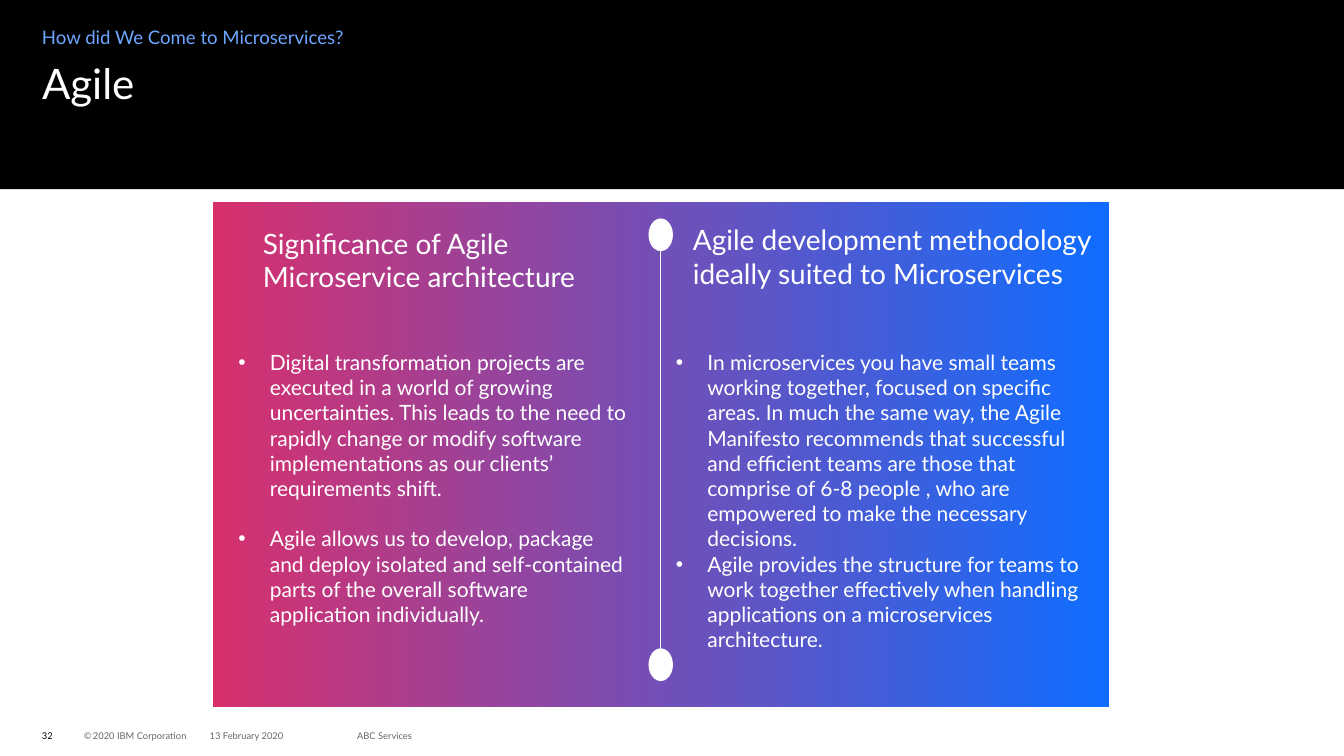
import copy

import lxml.etree
import pptx
import pptx.dml.color
import pptx.enum.shapes
import pptx.enum.text
import pptx.oxml.ns
import pptx.util

Cm = pptx.util.Cm
Pt = pptx.util.Pt
RGB = pptx.dml.color.RGBColor
qn = pptx.oxml.ns.qn
Anchor = pptx.enum.text.MSO_ANCHOR
Preset = pptx.enum.shapes.MSO_SHAPE

BLACK = RGB(0x00, 0x00, 0x00)
WHITE = RGB(0xFF, 0xFF, 0xFF)
GREY = RGB(0x66, 0x66, 0x66)
SKY = RGB(0x6E, 0xA6, 0xFF)
BLUE = RGB(0x0F, 0x6D, 0xFF)
PURPLE = RGB(0x6F, 0x50, 0xB9)
PINK = RGB(0xD7, 0x30, 0x6D)

FONT = "Lato"
BULLET_INDENT = Cm(0.95)
INSETS = (0.25, 0.13)

LEFT_COLUMN = {
    "heading": "Significance of Agile Microservice architecture",
    "heading_box": (1.27, 0.61, 12.09, 2.31),
    "points": [
        "Digital transformation projects are executed in a world of growing uncertainties. "
        "This leads to the need to rapidly change or modify software implementations "
        "as our clients’ requirements shift.",
        "Agile allows us to develop, package and deploy isolated and self-contained parts "
        "of the overall software application individually.",
    ],
    "points_box": (0.53, 4.34, 12.24, 8.71),
    "gap": 21.6,
}
RIGHT_COLUMN = {
    "heading": "Agile development methodology ideally suited to Microservices",
    "heading_box": (14.27, 0.5, 12.65, 3.33),
    "points": [
        "In microservices you have small teams working together, focused on specific areas. "
        "In much the same way, the Agile Manifesto recommends that successful and efficient "
        "teams are those that comprise of 6-8 people , who are empowered to make the "
        "necessary decisions.",
        "Agile provides the structure for teams to work together effectively when handling "
        "applications on a microservices architecture.",
    ],
    "points_box": (13.76, 4.34, 13.03, 9.5),
    "gap": 0,
}


def place(holder, left, top, width, height):
    """Move a text holder to a box given in centimetres."""
    holder.left, holder.top = Cm(left), Cm(top)
    holder.width, holder.height = Cm(width), Cm(height)


def set_frame(holder, anchor=Anchor.TOP, insets=(0, 0)):
    """Give a text holder its wrapping, anchor and insets."""
    frame = holder.text_frame
    frame.word_wrap = True
    frame.auto_size = pptx.enum.text.MSO_AUTO_SIZE.NONE
    frame.vertical_anchor = anchor
    frame.margin_left = frame.margin_right = Cm(insets[0])
    frame.margin_top = frame.margin_bottom = Cm(insets[1])
    return frame


def write(paragraph, text, size, color, spacing=1.0, before=0):
    """Add one run to a left-aligned paragraph."""
    paragraph.alignment = pptx.enum.text.PP_ALIGN.LEFT
    paragraph.line_spacing = spacing
    paragraph.space_before = Pt(before)
    run = paragraph.add_run()
    run.text = text
    run.font.name = FONT
    run.font.size = Pt(size)
    run.font.bold = False
    run.font.color.rgb = color


def add_bullet(paragraph):
    """Give a paragraph a round bullet with a hanging indent."""
    properties = paragraph._p.get_or_add_pPr()
    properties.set("marL", str(BULLET_INDENT))
    properties.set("indent", str(-BULLET_INDENT))
    lxml.etree.SubElement(properties, qn("a:buFont")).set("typeface", "Arial")
    lxml.etree.SubElement(properties, qn("a:buChar")).set("char", "•")


def add_plain_shape(slide, preset, left, top, width, height):
    """Add a preset shape without outline or shadow."""
    shape = slide.shapes.add_shape(preset, Cm(left), Cm(top), Cm(width), Cm(height))
    shape.shadow.inherit = False
    shape.line.fill.background()
    return shape


def add_header(slide, left, top, width, height):
    """Draw the black band with its kicker and title."""
    band = add_plain_shape(slide, Preset.RECTANGLE, left, top, width, height)
    band.fill.solid()
    band.fill.fore_color.rgb = BLACK
    kicker = slide.shapes.add_textbox(Cm(left + 1.27), Cm(top + 0.74), Cm(18.29), Cm(0.76))
    write(set_frame(kicker).paragraphs[0], "How did We Come to Microservices?", 16, SKY, 1.05)
    title = slide.shapes.title
    place(title, left + 1.27, top + 1.9, width - 2.54, 3.18)
    write(set_frame(title).paragraphs[0], "Agile", 36, WHITE, 0.9)


def add_panel(slide, left, top, width, height):
    """Draw the gradient panel with its central divider."""
    panel = add_plain_shape(slide, Preset.RECTANGLE, left, top, width, height)
    panel.fill.gradient()
    panel.fill.gradient_angle = 0
    stop_list = panel._element.find(".//" + qn("a:gsLst"))
    stop_list.append(copy.deepcopy(stop_list[-1]))
    stops = zip(panel.fill.gradient_stops, (0, 0.52, 1), (PINK, PURPLE, BLUE))
    for stop, position, color in stops:
        stop.position = position
        stop.color.rgb = color

    middle = left + width / 2
    dot_width, dot_height = 0.74, 0.99
    dot_centers = (top + 1.0, top + 14.0)
    for center in dot_centers:
        dot = add_plain_shape(slide, Preset.OVAL, middle - dot_width / 2,
                              center - dot_height / 2, dot_width, dot_height)
        dot.fill.solid()
        dot.fill.fore_color.rgb = WHITE
    divider = slide.shapes.add_connector(
        pptx.enum.shapes.MSO_CONNECTOR.STRAIGHT,
        Cm(middle), Cm(dot_centers[0]), Cm(middle), Cm(dot_centers[1]))
    divider.line.color.rgb = WHITE
    divider.line.width = Pt(1)
    lxml.etree.SubElement(divider._element.spPr, qn("a:effectLst"))


def fill_column(heading, points, column, left, top):
    """Write a heading and its bullet list relative to the panel corner."""
    for holder, key in ((heading, "heading_box"), (points, "points_box")):
        x, y, width, height = column[key]
        place(holder, left + x, top + y, width, height)
    heading_frame = set_frame(heading, insets=INSETS)
    write(heading_frame.paragraphs[0], column["heading"], 24, WHITE)
    frame = set_frame(points, insets=INSETS)
    for index, point in enumerate(column["points"]):
        paragraph = frame.add_paragraph() if index else frame.paragraphs[0]
        add_bullet(paragraph)
        write(paragraph, point, 18, WHITE, before=column["gap"] if index else 0)


def add_footer(slide, left, top, height):
    """Write the page number and the footer notes in one row."""
    notes = [
        (0, 0.91, [("32", 8)], BLACK),
        (1.27, 3.6, [("©", 8), (" ", 4), ("2020 IBM Corporation", 8)], GREY),
        (5.07, 3.7, [("13 February 2020", 8)], GREY),
        (9.53, 6.35, [("ABC Services", 8)], GREY),
    ]
    for x, width, runs, color in notes:
        note = slide.shapes.add_textbox(Cm(left + x), Cm(top), Cm(width), Cm(height))
        paragraph = set_frame(note, Anchor.MIDDLE).paragraphs[0]
        for text, size in runs:
            write(paragraph, text, size, color)


def main():
    """Build and save the slide."""
    deck = pptx.Presentation()
    deck.slide_width, deck.slide_height = Cm(40.64), Cm(22.86)
    slide = deck.slides.add_slide(deck.slide_layouts.get_by_name("Comparison"))
    placeholders = list(slide.placeholders)
    _, left_heading, left_points, right_heading, right_points = placeholders
    panel_left, panel_top = 6.43, 6.1

    add_header(slide, 0, 0, 40.64, 5.72)
    add_panel(slide, panel_left, panel_top, 27.1, 15.27)
    fill_column(left_heading, left_points, LEFT_COLUMN, panel_left, panel_top)
    fill_column(right_heading, right_points, RIGHT_COLUMN, panel_left, panel_top)
    add_footer(slide, 1.27, 21.93, 0.61)
    for placeholder in placeholders:
        slide.shapes._spTree.append(placeholder._element)
    deck.save("out.pptx")


if __name__ == "__main__":
    main()
